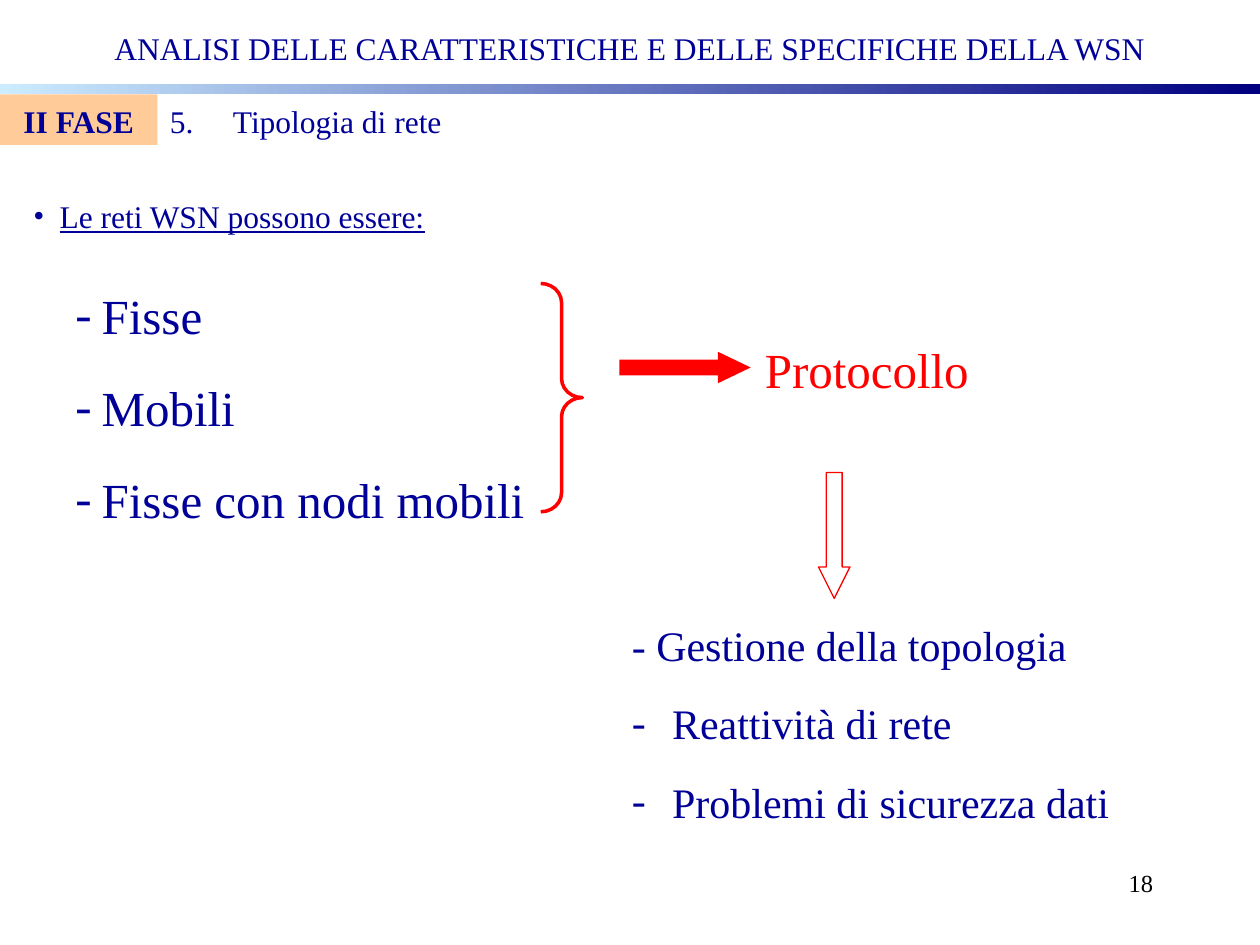
from dataclasses import dataclass

from lxml import etree
from pptx import Presentation
from pptx.dml.color import RGBColor
from pptx.enum import shapes, text
from pptx.oxml.ns import qn
from pptx.util import Pt


@dataclass(frozen=True)
class Theme:
    font: str = "Times New Roman"
    navy: str = "000099"
    red: str = "FF0000"
    black: str = "000000"
    peach: str = "FFCC99"
    bar_start: str = "CCECFF"
    bar_end: str = "000080"
    number: float = 14
    body: float = 18
    detail: float = 24
    large: float = 28
    line_spacing: float = 1.04


THEME = Theme()


@dataclass(frozen=True)
class Box:
    left: float
    top: float
    width: float
    height: float

    def lengths(self) -> tuple:
        return tuple(Pt(v) for v in (self.left, self.top, self.width, self.height))


@dataclass(frozen=True)
class Line:
    words: str
    bullet: str = ""
    indent: float = 0


@dataclass(frozen=True)
class TextBlock:
    box: Box
    lines: tuple
    size: float = THEME.body
    color: str = THEME.navy
    align: text.PP_ALIGN = text.PP_ALIGN.LEFT
    anchor: text.MSO_ANCHOR = text.MSO_ANCHOR.TOP
    bold: bool = False
    underline: bool = False
    gap: float = 0
    fill: str = ""


@dataclass(frozen=True)
class Figure:
    kind: shapes.MSO_SHAPE
    box: Box
    adjustments: tuple = ()
    fill: str = ""
    line: str = ""
    line_width: float = 0
    rotation: float = 0


def rgb(value: str) -> RGBColor:
    return RGBColor.from_string(value)


def set_indent(paragraph, line: Line) -> None:
    """Hang the first line and add its bullet, if any."""
    properties = paragraph._p.get_or_add_pPr()
    properties.set("marL", str(Pt(line.indent)))
    properties.set("indent", str(-Pt(line.indent)))
    if line.bullet:
        color = etree.SubElement(properties, qn("a:buClr"))
        etree.SubElement(color, qn("a:srgbClr"), val=THEME.navy)
        etree.SubElement(properties, qn("a:buFont"), typeface=THEME.font)
        etree.SubElement(properties, qn("a:buChar"), char=line.bullet)


def add_text(slide, block: TextBlock) -> None:
    shape = slide.shapes.add_textbox(*block.box.lengths())
    if block.fill:
        shape.fill.solid()
        shape.fill.fore_color.rgb = rgb(block.fill)
    frame = shape.text_frame
    frame.word_wrap = True
    frame.vertical_anchor = block.anchor
    for index, line in enumerate(block.lines):
        paragraph = frame.add_paragraph() if index else frame.paragraphs[0]
        paragraph.text = line.words
        paragraph.alignment = block.align
        paragraph.line_spacing = THEME.line_spacing
        if index:
            paragraph.space_before = Pt(block.gap)
        if line.indent:
            set_indent(paragraph, line)
        font = paragraph.font
        font.name = THEME.font
        font.size = Pt(block.size)
        font.bold = block.bold
        font.underline = block.underline
        font.color.rgb = rgb(block.color)


def add_figure(slide, figure: Figure):
    shape = slide.shapes.add_shape(figure.kind, *figure.box.lengths())
    shape.shadow.inherit = False
    shape.rotation = figure.rotation
    for index, value in enumerate(figure.adjustments):
        shape.adjustments[index] = value
    if figure.fill:
        shape.fill.solid()
        shape.fill.fore_color.rgb = rgb(figure.fill)
    else:
        shape.fill.background()
    if figure.line:
        shape.line.color.rgb = rgb(figure.line)
        shape.line.width = Pt(figure.line_width)
    else:
        shape.line.fill.background()
    return shape


def add_gradient_bar(slide, box: Box) -> None:
    fill = add_figure(slide, Figure(shapes.MSO_SHAPE.RECTANGLE, box)).fill
    fill.gradient()
    fill.gradient_angle = 0
    for stop, color, position in zip(
        fill.gradient_stops, (THEME.bar_start, THEME.bar_end), (0, 1)
    ):
        stop.color.rgb = rgb(color)
        stop.position = position


TEXTS = (
    # Title and phase heading
    TextBlock(
        Box(54, 12, 612, 30),
        (Line("ANALISI DELLE CARATTERISTICHE E DELLE SPECIFICHE DELLA WSN"),),
        align=text.PP_ALIGN.CENTER, anchor=text.MSO_ANCHOR.MIDDLE,
    ),
    TextBlock(Box(90, 54, 564, 28.8), (Line("5.\tTipologia di rete", indent=36),)),
    TextBlock(
        Box(0, 54, 90, 28.8), (Line("II FASE"),),
        align=text.PP_ALIGN.CENTER, bold=True, fill=THEME.peach,
    ),
    # Network types
    TextBlock(
        Box(12, 108, 684, 28.8),
        (Line("Le reti WSN possono essere:", "•", 15),), underline=True,
    ),
    TextBlock(
        Box(36, 158.4, 408, 143.3),
        tuple(Line(words, "-", 15)
              for words in ("Fisse", "Mobili", "Fisse con nodi mobili")),
        size=THEME.large, gap=17.5,
    ),
    # Protocol and its tasks
    TextBlock(
        Box(430, 189.4, 174, 41), (Line("Protocollo"),),
        size=THEME.large, color=THEME.red,
    ),
    TextBlock(
        Box(354, 349.2, 366, 124),
        (
            Line("- Gestione della topologia"),
            Line("Reattività di rete", "-", 23),
            Line("Problemi di sicurezza dati", "-", 23),
        ),
        size=THEME.detail, gap=15,
    ),
    # Slide number
    TextBlock(
        Box(516, 492, 150, 36), (Line("18"),),
        size=THEME.number, color=THEME.black, align=text.PP_ALIGN.RIGHT,
    ),
)

FIGURES = (
    Figure(shapes.MSO_SHAPE.RIGHT_ARROW, Box(354, 201, 75, 18), (0.5, 1.04),
           fill=THEME.red),
    Figure(shapes.MSO_SHAPE.RIGHT_BRACE, Box(309, 162, 23.8, 130.5), (0.46, 0.5),
           line=THEME.red, line_width=2),
    Figure(shapes.MSO_SHAPE.RIGHT_ARROW, Box(440.7, 297, 72, 18), (0.5, 1),
           line=THEME.red, line_width=0.75, rotation=90),
)


def main() -> None:
    presentation = Presentation()
    presentation.slide_width, presentation.slide_height = Pt(720), Pt(540)
    slide = presentation.slides.add_slide(presentation.slide_layouts[6])
    add_gradient_bar(slide, Box(0, 48, 720, 6))
    for block in TEXTS:
        add_text(slide, block)
    for figure in FIGURES:
        add_figure(slide, figure)
    presentation.save("out.pptx")


if __name__ == "__main__":
    main()
